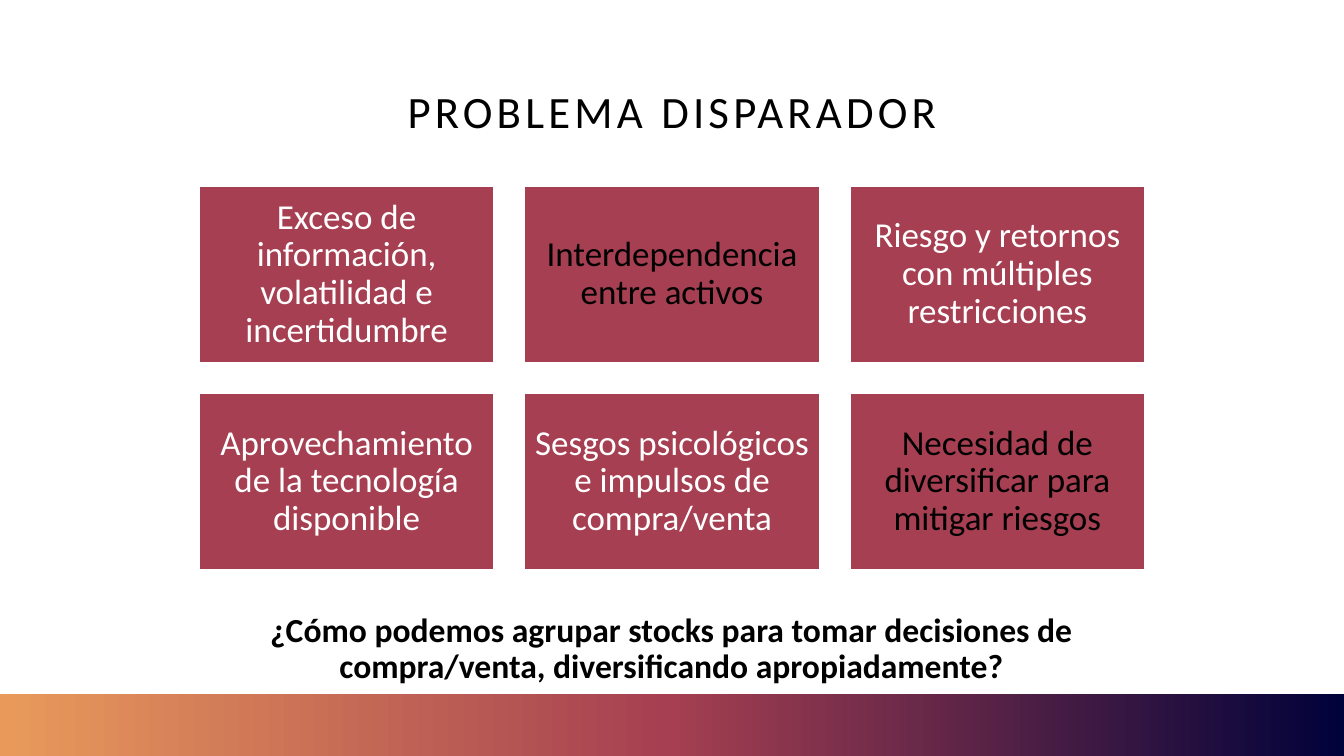
"""Build the slide "Problema disparador": six problem cards and a closing question."""
from copy import deepcopy

from pptx import Presentation
from pptx.dml.color import RGBColor
from pptx.enum.shapes import MSO_SHAPE
from pptx.enum.text import MSO_ANCHOR, MSO_AUTO_SIZE, PP_ALIGN
from pptx.oxml.ns import qn
from pptx.util import Cm, Pt

BLACK, WHITE, WINE = "000000", "FFFFFF", "A53F51"
TITLE = "PROBLEMA DISPARADOR"
CARDS = [
    ("Exceso de información, volatilidad e incertidumbre", WHITE),
    ("Interdependencia entre activos", BLACK),
    ("Riesgo y retornos con múltiples restricciones", WHITE),
    ("Aprovechamiento de la tecnología disponible", WHITE),
    ("Sesgos psicológicos e impulsos de compra/venta", WHITE),
    ("Necesidad de diversificar para mitigar riesgos", BLACK),
]
QUESTION = ("¿Cómo podemos agrupar stocks para tomar decisiones de "
            "compra/venta, diversificando apropiadamente?")
BAR_STOPS = [(0, "00023A"), (0.5, WINE), (1, "E99A5B")]

SLIDE_W, SLIDE_H = 33.87, 19.05
COLS, CARD_W, CARD_H, GAP, CARDS_TOP = 3, 7.45, 4.47, 0.75, 4.68
CARDS_LEFT = (SLIDE_W - COLS * CARD_W - (COLS - 1) * GAP) / 2
BAR_H = 1.55

TITLE_FONT = {"size": Pt(32), "bold": False}
CARD_FONT = {"size": Pt(25), "bold": False}
QUESTION_FONT = {"size": Pt(24), "bold": True}


def rgb(value):
    return RGBColor.from_string(value)


def place(sp, left, top, width, height):
    box = {"left": left, "top": top, "width": width, "height": height}
    for name, value in box.items():
        setattr(sp, name, Cm(value))


def write(sp, text, font, color, anchor, inset=None):
    tf = sp.text_frame
    frame = {"word_wrap": True, "auto_size": MSO_AUTO_SIZE.NONE, "vertical_anchor": anchor}
    if inset is not None:
        frame.update({f"margin_{side}": Cm(inset) for side in ("left", "top", "right", "bottom")})
    for name, value in frame.items():
        setattr(tf, name, value)
    p = tf.paragraphs[0]
    for name, value in {"alignment": PP_ALIGN.CENTER, "line_spacing": 0.9,
                        "space_before": Pt(0)}.items():
        setattr(p, name, value)
    r = p.add_run()
    r.text = text
    for name, value in {"name": "Calibri", **font}.items():
        setattr(r.font, name, value)
    r.font.color.rgb = rgb(color)
    return p, r


def add_rect(s, left, top, width, height):
    sp = s.shapes.add_shape(MSO_SHAPE.RECTANGLE, *map(Cm, (left, top, width, height)))
    sp.shadow.inherit = False
    return sp


def add_bar(s):
    sp = add_rect(s, 0, SLIDE_H - BAR_H, SLIDE_W, BAR_H)
    sp.line.fill.background()
    sp.fill.gradient()
    sp.fill.gradient_angle = 180
    first = sp._element.spPr.find(".//" + qn("a:gs"))
    first.addnext(deepcopy(first))
    for stop, (position, color) in zip(sp.fill.gradient_stops, BAR_STOPS):
        stop.position = position
        stop.color.rgb = rgb(color)


def add_card(s, index, text, color):
    row, col = divmod(index, COLS)
    sp = add_rect(s, CARDS_LEFT + col * (CARD_W + GAP), CARDS_TOP + row * (CARD_H + GAP),
                  CARD_W, CARD_H)
    sp.fill.solid()
    sp.fill.fore_color.rgb = rgb(WINE)
    sp.line.color.rgb = rgb(WHITE)
    sp.line.width = Pt(1.5)
    write(sp, text, CARD_FONT, color, MSO_ANCHOR.MIDDLE, 0.24)


def main():
    prs = Presentation()
    prs.slide_width, prs.slide_height = Cm(SLIDE_W), Cm(SLIDE_H)
    s = prs.slides.add_slide(prs.slide_layouts[1])
    title, question = s.placeholders

    place(title, 2.34, 1.02, 29.2, 3.68)
    p, r = write(title, TITLE, TITLE_FONT, BLACK, MSO_ANCHOR.MIDDLE)
    r.font._element.set("spc", "300")

    for index, (text, color) in enumerate(CARDS):
        add_card(s, index, text, color)
    add_bar(s)

    place(question, 6.17, 15.32, 21.5, 2.44)
    p, r = write(question, QUESTION, QUESTION_FONT, BLACK, MSO_ANCHOR.TOP)
    pPr = p._p.get_or_add_pPr()
    for name in ("marL", "indent"):
        pPr.set(name, "0")
    pPr.append(pPr.makeelement(qn("a:buNone"), {}))

    prs.save("out.pptx")


if __name__ == "__main__":
    main()
